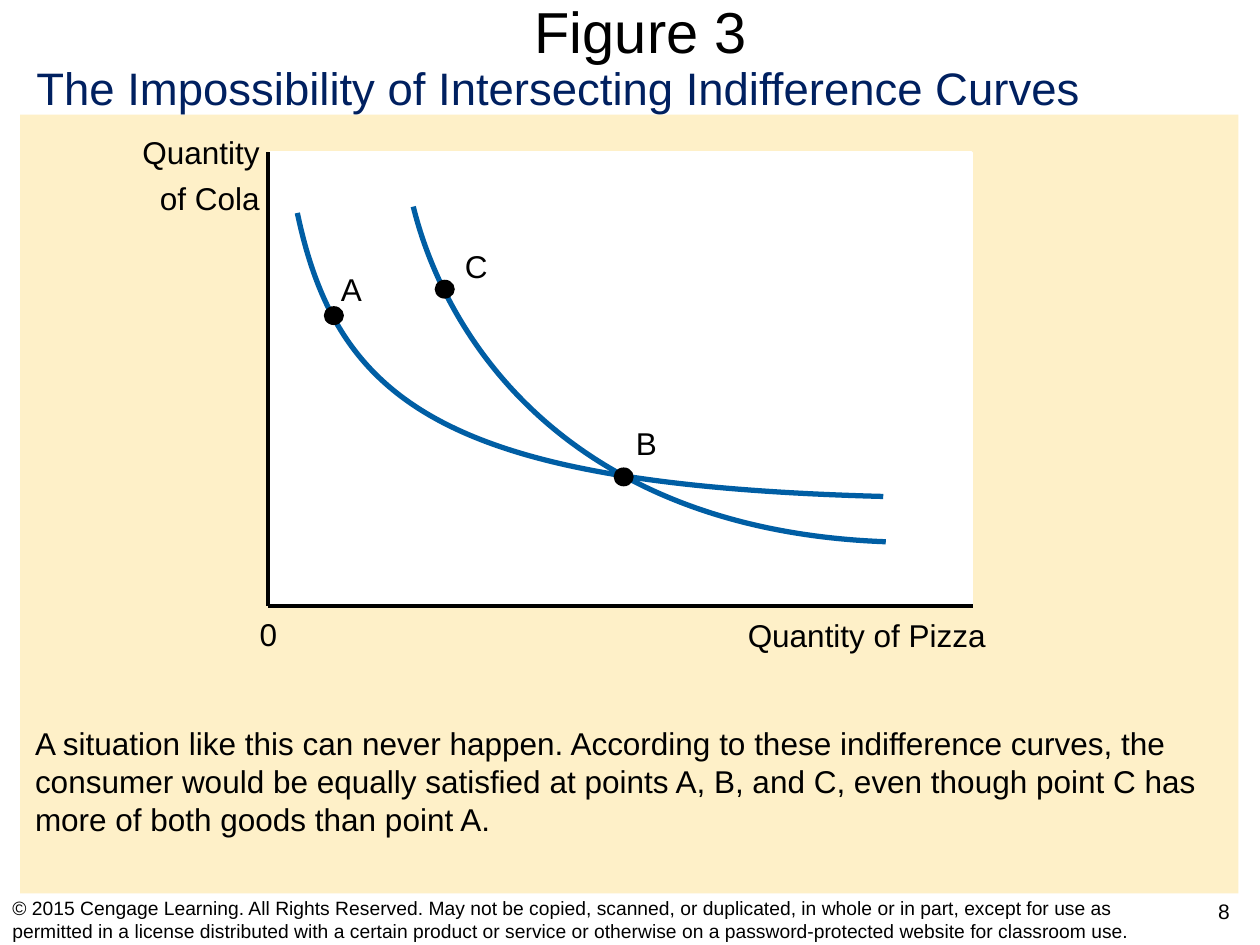
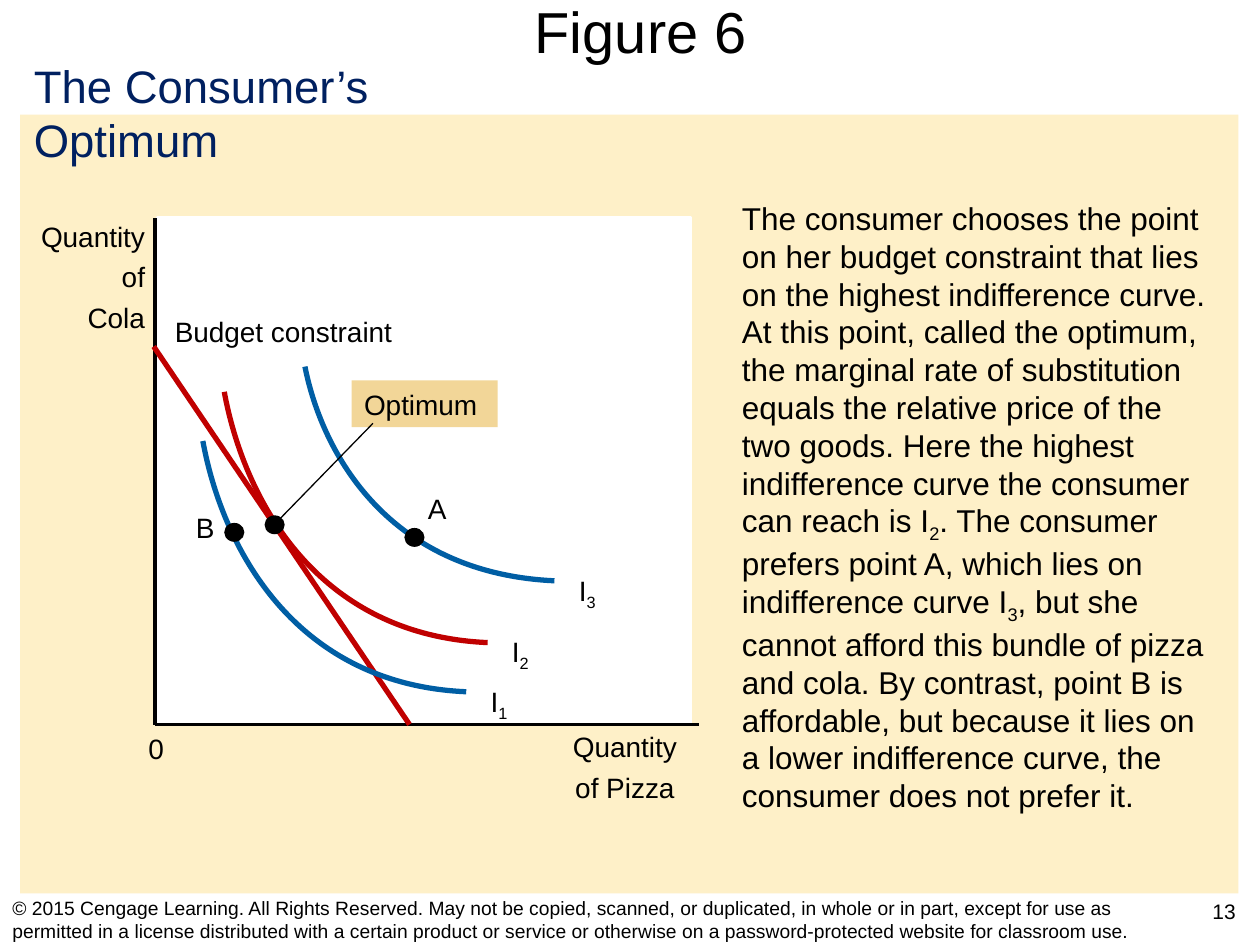
from collections import namedtuple

from lxml.etree import SubElement
from pptx import Presentation
from pptx.dml.color import RGBColor
from pptx.enum.shapes import MSO_CONNECTOR, MSO_SHAPE
from pptx.enum.text import MSO_ANCHOR, PP_ALIGN
from pptx.oxml.ns import qn
from pptx.util import Pt

EMU_PER_PX = 9144  # 100 px to the inch
FONT = "Arial"
COLORS = {
    "black": "000000",
    "white": "FFFFFF",
    "cream": "FEF0C8",
    "tan": "F2D698",
    "navy": "002060",
    "blue": "005EA4",
    "red": "C00000",
}
COPYRIGHT = (
    "© 2015 Cengage Learning. All Rights Reserved. May not be copied, scanned, "
    "or duplicated, in whole or in part, except for use as permitted in a license "
    "distributed with a certain product or service or otherwise on a "
    "password-protected website for classroom use."
)
LEFT, CENTER, RIGHT = PP_ALIGN.LEFT, PP_ALIGN.CENTER, PP_ALIGN.RIGHT

Box = namedtuple("Box", "left top width height")

SLIDE = Box(0, 0, 1000, 750)
BAND = Box(16, 91, 967, 618)
TITLE = Box(35, 0, 947, 49)
FOOTER = Box(0, 710, 942, 40)
PAGE_NUMBER = Box(943, 708, 57, 41)
DOT = (16, 15)
CURVE_LABEL_OFFSET = (9, -11)


def px(length):
    return length * EMU_PER_PX


def color(name):
    return RGBColor.from_string(COLORS[name])


def inside(area, left, top, width, height):
    """Box whose left and top are measured from the corner of area."""
    return Box(area.left + left, area.top + top, width, height)


# Text
def write_text(frame, lines, size, align=LEFT, ink="black", gap=0):
    """Each line is a list of runs; a run that starts with _ is a subscript."""
    for index, runs in enumerate(lines):
        paragraph = frame.paragraphs[0] if index == 0 else frame.add_paragraph()
        paragraph.alignment = align
        if index:
            paragraph.space_before = Pt(gap)
        for text in runs:
            run = paragraph.add_run()
            run.text = text.lstrip("_")
            run.font.name = FONT
            run.font.size = Pt(size)
            run.font.color.rgb = color(ink)
            if text.startswith("_"):
                run.font._element.set("baseline", "-25000")


def add_text(slide, box, lines, size, align=LEFT, ink="black", wrap=True,
             anchor=MSO_ANCHOR.TOP):
    frame = slide.shapes.add_textbox(*map(px, box)).text_frame
    frame.word_wrap = wrap
    frame.vertical_anchor = anchor
    write_text(frame, lines, size, align, ink, gap=size / 4)


def add_label(slide, box, lines, size, align=CENTER):
    add_text(slide, box, lines, size, align, wrap=False)


# Shapes and lines
def add_block(slide, box, fill, kind=MSO_SHAPE.RECTANGLE):
    shape = slide.shapes.add_shape(kind, *map(px, box))
    shape.shadow.inherit = False
    shape.fill.solid()
    shape.fill.fore_color.rgb = color(fill)
    shape.line.fill.background()
    return shape


def add_line(slide, area, start, end, ink="black", weight=2.25):
    ends = [px(corner + offset) for point in (start, end)
            for corner, offset in zip(area[:2], point)]
    line = slide.shapes.add_connector(MSO_CONNECTOR.STRAIGHT, *ends)
    line.line.color.rgb = color(ink)
    line.line.width = Pt(weight)
    SubElement(line._element.spPr, qn("a:effectLst"))


def add_curve(slide, area, points, ink="blue"):
    """Open cubic curve: start, two control points, end."""
    start, *others = [(area.left + x, area.top + y) for x, y in points]
    builder = slide.shapes.build_freeform(*start, scale=EMU_PER_PX)
    builder.add_line_segments(others, close=False)
    shape = builder.convert_to_shape()
    shape.shadow.inherit = False
    shape.fill.background()
    shape.line.color.rgb = color(ink)
    shape.line.width = Pt(3)
    # Turn the three segments into one Bézier segment
    outline = shape._element.spPr.find(".//" + qn("a:path"))
    bezier = SubElement(outline, qn("a:cubicBezTo"))
    for segment in outline.findall(qn("a:lnTo")):
        bezier.append(segment[0])
        outline.remove(segment)


def add_dot(slide, area, left, top):
    add_block(slide, inside(area, left, top, *DOT), "black", MSO_SHAPE.OVAL)


# Parts that every figure slide has
def add_figure_slide(presentation, title, page, subtitle, subtitle_box):
    slide = presentation.slides.add_slide(presentation.slide_layouts[5])
    add_block(slide, BAND, "cream")

    heading = slide.shapes.title
    heading.left, heading.top, heading.width, heading.height = map(px, TITLE)
    heading.text_frame.vertical_anchor = MSO_ANCHOR.MIDDLE
    write_text(heading.text_frame, [[title]], 33, CENTER)

    add_text(slide, PAGE_NUMBER, [[page]], 12, CENTER)
    add_text(slide, FOOTER, [[COPYRIGHT]], 11, anchor=MSO_ANCHOR.MIDDLE)
    add_text(slide, subtitle_box, [[subtitle]], 26, ink="navy")
    return slide


def draw_axes(slide, area, overhang):
    plot = add_block(slide, area, "white")
    plot.line.color.rgb = color("white")
    plot.line.width = Pt(2)
    corner = (-2, area.height + 1)
    add_line(slide, area, (-2, 0), corner)
    add_line(slide, area, corner, (area.width + overhang, area.height + 1))


# Plot with two crossing curves
def draw_crossing_curves(slide, area):
    size = 18
    draw_axes(slide, area, overhang=1)
    add_label(slide, inside(area, -129, -20, 130, 77),
              [["Quantity"], ["of Cola"]], size, RIGHT)
    add_label(slide, inside(area, 363, 363, 220, 40), [["Quantity of Pizza"]], size)
    add_label(slide, inside(area, -22, 362, 40, 40), [["0"]], size)

    add_curve(slide, area, [(21, 48), (53, 200), (141, 264), (486, 273)])
    add_curve(slide, area, [(113, 43), (140, 152), (240, 300), (488, 309)])

    for name, dot, label in (
        ("C", (130, 101), (143, 70)),
        ("B", (272, 250), (278, 211)),
        ("A", (42, 122), (44, 88)),
    ):
        add_dot(slide, area, *dot)
        add_label(slide, inside(area, *label, 40, 40), [[name]], size)


# Plot with the budget line and three indifference curves
def draw_optimum(slide, area):
    size = 16
    draw_axes(slide, area, overhang=7)
    add_label(slide, inside(area, -120, -4, 120, 101),
              [["Quantity"], ["of"], ["Cola"]], size, RIGHT)
    add_label(slide, inside(area, 311, 401, 120, 69),
              [["Quantity"], ["of Pizza"]], size)
    add_label(slide, inside(area, -21, 403, 40, 37), [["0"]], size)

    add_line(slide, area, (-3, 102), (200, 402), "red", 3)
    add_label(slide, inside(area, -10, 72, 220, 37), [["Budget constraint"]], size)

    for number, ink, points in (
        (2, "red", [(53, 138), (68, 220), (124, 331), (262, 337)]),
        (1, "blue", [(36, 177), (51, 259), (107, 370), (245, 376)]),
        (3, "blue", [(117, 118), (131, 188), (184, 282), (315, 288)]),
    ):
        add_curve(slide, area, points, ink)
        corner = [end + offset for end, offset in zip(points[-1], CURVE_LABEL_OFFSET)]
        add_label(slide, inside(area, *corner, 34, 41), [["I", f"_{number}"]], size)

    for name, dot, label in (
        ("A", (196, 246), (202, 212)),
        ("B", (53, 242), (18, 227)),
    ):
        add_dot(slide, area, *dot)
        add_label(slide, inside(area, *label, 40, 37), [[name]], size)

    # Optimum point, its tag and leader
    add_dot(slide, area, 85, 236)
    tag = add_block(slide, inside(area, 154, 129, 116, 37), "tan")
    tag.text_frame.word_wrap = False
    write_text(tag.text_frame, [["Optimum "]], size, CENTER)
    add_line(slide, area, (95, 241), (171, 163), weight=0.75)


def build_figure_3(presentation):
    slide = add_figure_slide(
        presentation, "Figure 3", "8",
        "The Impossibility of Intersecting Indifference Curves",
        Box(19, 43, 900, 54))
    draw_crossing_curves(slide, Box(215, 121, 556, 359))
    add_text(slide, Box(18, 570, 963, 100), [[
        "A situation like this can never happen. According to these indifference "
        "curves, the consumer would be equally satisfied at points A, B, and C, "
        "even though point C has more of both goods than point A."]], 18)


def build_figure_6(presentation):
    slide = add_figure_slide(
        presentation, "Figure 6", "13", "The Consumer’s Optimum",
        Box(17, 41, 420, 54))
    add_text(slide, Box(579, 153, 399, 498), [[
        "The consumer chooses the point on her budget constraint that lies on the "
        "highest indifference curve. At this point, called the optimum, the marginal "
        "rate of substitution equals the relative price of the two goods. Here the "
        "highest indifference curve the consumer can reach is I",
        "_2",
        ". The consumer prefers point A, which lies on indifference curve I",
        "_3",
        ", but she cannot afford this bundle of pizza and cola. By contrast, point B "
        "is affordable, but because it lies on a lower indifference curve, the "
        "consumer does not prefer it."]], 18)
    draw_optimum(slide, Box(125, 173, 423, 401))


def main():
    presentation = Presentation()
    presentation.slide_width = px(SLIDE.width)
    presentation.slide_height = px(SLIDE.height)
    build_figure_3(presentation)
    build_figure_6(presentation)
    presentation.save("out.pptx")


if __name__ == "__main__":
    main()
